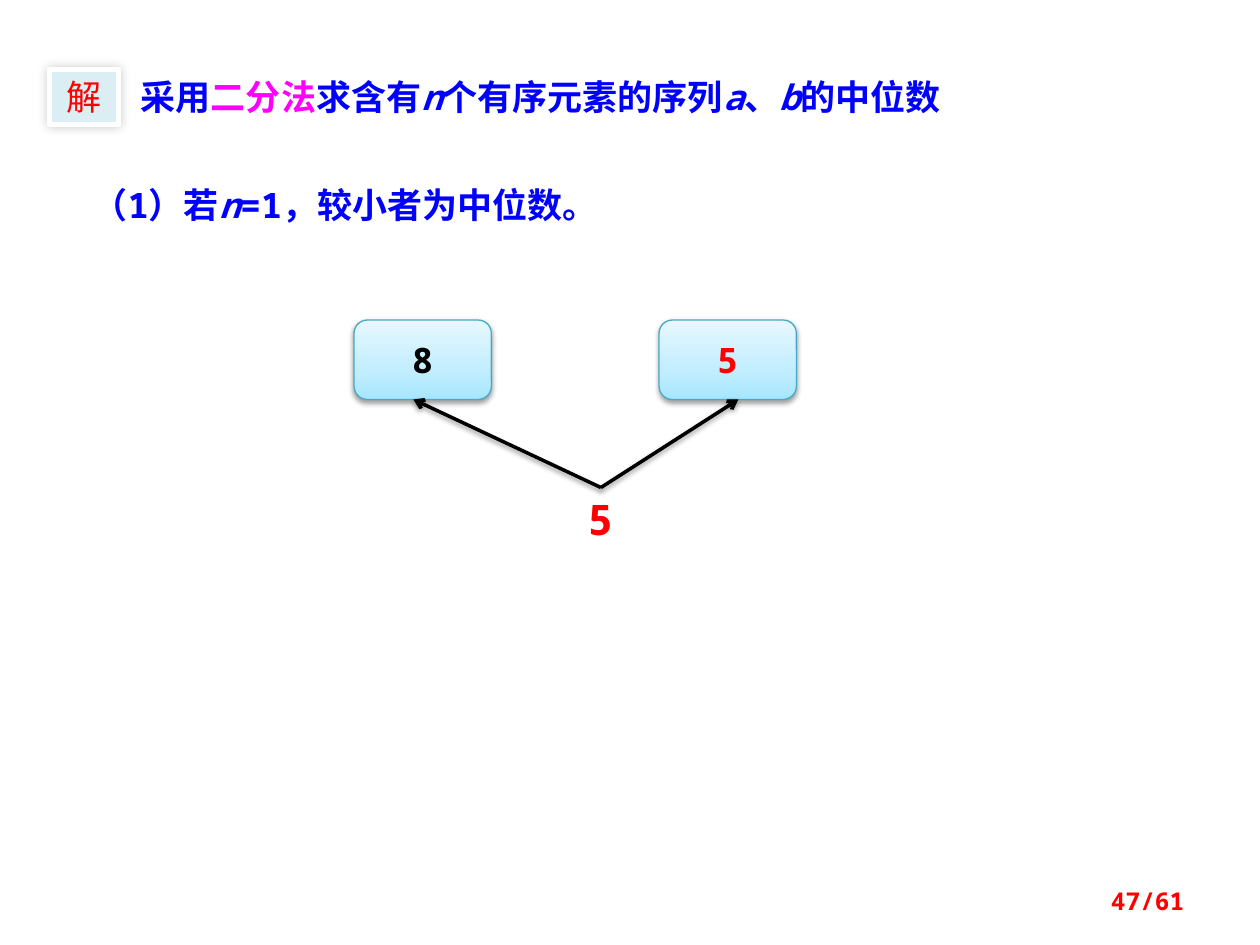
from copy import deepcopy
from pptx import Presentation
from pptx import util as u
from pptx.dml.color import RGBColor
from pptx.enum import shapes, text
from pptx.oxml.ns import qn
from lxml import etree

Pt = u.Pt
MONO, CJK = "Noto Sans Mono", "Noto Sans CJK SC"
BLUE, RED, PINK, BLACK = "0000FF", "FF0000", "FF00FF", "000000"
LEFT, MID, RIGHT = text.PP_ALIGN.LEFT, text.PP_ALIGN.CENTER, text.PP_ALIGN.RIGHT
SOFT = (BLACK, 38, 3.1, 1.6, 90)  # colour, opacity, blur, distance, angle
GLOW = (BLACK, 20, 6, 0, 225)

# Content: runs are (text, colour, italic)
HEAD = [("采用", BLUE, False), ("二分法", PINK, False), ("求含有", BLUE, False),
        ("n", BLUE, True), ("个有序元素的序列", BLUE, False), ("a", BLUE, True),
        ("、", BLUE, False), ("b", BLUE, True), ("的中位数", BLUE, False)]
STEP = [("（1）若", BLUE, False), ("n", BLUE, True),
        ("=1，较小者为中位数。", BLUE, False)]
# Text boxes: left, top, width, height, runs, size, alignment
NOTES = [(73.4, 39.6, 495.4, 31.7, HEAD, 20, LEFT),
         (39.6, 101.5, 315.4, 31.7, STEP, 20, MID),
         (326.2, 278.6, 33.8, 36, [("5", RED, False)], 24, MID),
         (516.2, 500.4, 167.8, 28.8, [("47/61", RED, False)], 14, RIGHT)]
# Boxes: left, digit, colour, x where the arrow lands
BOXES = [(202.3, "8", BLACK, 236.2), (376.6, "5", RED, 421.9)]
TOP, WIDE, HIGH = 182.9, 78.5, 45.4
ROOT = (343.4, 278.6)
STOPS = [(0, "A7E6FF"), (0.35, "C1EDFF"), (1, "E7F8FF")]


def rgb(code):
    return RGBColor.from_string(code)


def shade(part, code, alpha, blur, dist, ang):
    props = part._element.spPr
    list_ = props.find(qn("a:effectLst"))
    if list_ is None:
        list_ = etree.SubElement(props, qn("a:effectLst"))
    shadow = etree.SubElement(
        list_, qn("a:outerShdw"), blurRad=str(int(Pt(blur))),
        dist=str(int(Pt(dist))), dir=str(ang * 60000), rotWithShape="0")
    tint = etree.SubElement(shadow, qn("a:srgbClr"), val=code)
    etree.SubElement(tint, qn("a:alpha"), val=str(alpha * 1000))


def write(part, runs, size, align=MID, face=MONO, bold=True, mid=False):
    frame = part.text_frame
    frame.word_wrap = True
    frame.vertical_anchor = (text.MSO_ANCHOR.MIDDLE if mid
                             else text.MSO_ANCHOR.TOP)
    para = frame.paragraphs[0]
    para.alignment = align
    for words, code, slant in runs:
        run = para.add_run()
        run.text = words
        font = run.font
        font.name, font.size = face, Pt(size)
        font.bold, font.italic = bold, slant
        font.color.rgb = rgb(code)
        east = etree.Element(qn("a:ea"), typeface=CJK)
        run._r.rPr.find(qn("a:latin")).addnext(east)


def shape(kind, x, y, w, h, edge, width):
    part = slide.shapes.add_shape(kind, Pt(x), Pt(y), Pt(w), Pt(h))
    part.line.color.rgb = rgb(edge)
    part.line.width = Pt(width)
    part.shadow.inherit = False
    return part


def blend(fill):
    fill.gradient()
    fill.gradient_angle = 90
    first = fill._xPr.find(".//" + qn("a:gs"))
    first.addnext(deepcopy(first))
    for stop, (pos, code) in zip(fill.gradient_stops, STOPS):
        stop.position = pos
        stop.color.rgb = rgb(code)


deck = Presentation()
deck.slide_width, deck.slide_height = Pt(720), Pt(540)
slide = deck.slides.add_slide(deck.slide_layouts[6])

# Number boxes, each with an arrow from the result
for x, digit, code, tip in BOXES:
    box = shape(shapes.MSO_SHAPE.ROUNDED_RECTANGLE,
                x, TOP, WIDE, HIGH, "46AAC5", 0.75)
    blend(box.fill)
    shade(box, *SOFT)
    write(box, [(digit, code, False)], 20, mid=True)

    arrow = slide.shapes.add_connector(
        shapes.MSO_CONNECTOR.STRAIGHT,
        Pt(ROOT[0]), Pt(ROOT[1]), Pt(tip), Pt(TOP + HIGH))
    arrow.line.color.rgb = rgb(BLACK)
    arrow.line.width = Pt(2)
    etree.SubElement(arrow.line._get_or_add_ln(), qn("a:tailEnd"), type="arrow")
    shade(arrow, *SOFT)

# Heading, step, result and page number
for x, y, w, h, runs, size, align in NOTES:
    note = slide.shapes.add_textbox(Pt(x), Pt(y), Pt(w), Pt(h))
    write(note, runs, size, align, mid=align == RIGHT)

# Answer badge
badge = shape(shapes.MSO_SHAPE.RECTANGLE, 28.1, 39.6, 39.6, 31.7, "FFFFFF", 3)
badge.fill.solid()
badge.fill.fore_color.rgb = rgb("DBEEF4")
shade(badge, *GLOW)
write(badge, [("解", RED, False)], 20, face=CJK, bold=False)

deck.save("out.pptx")
